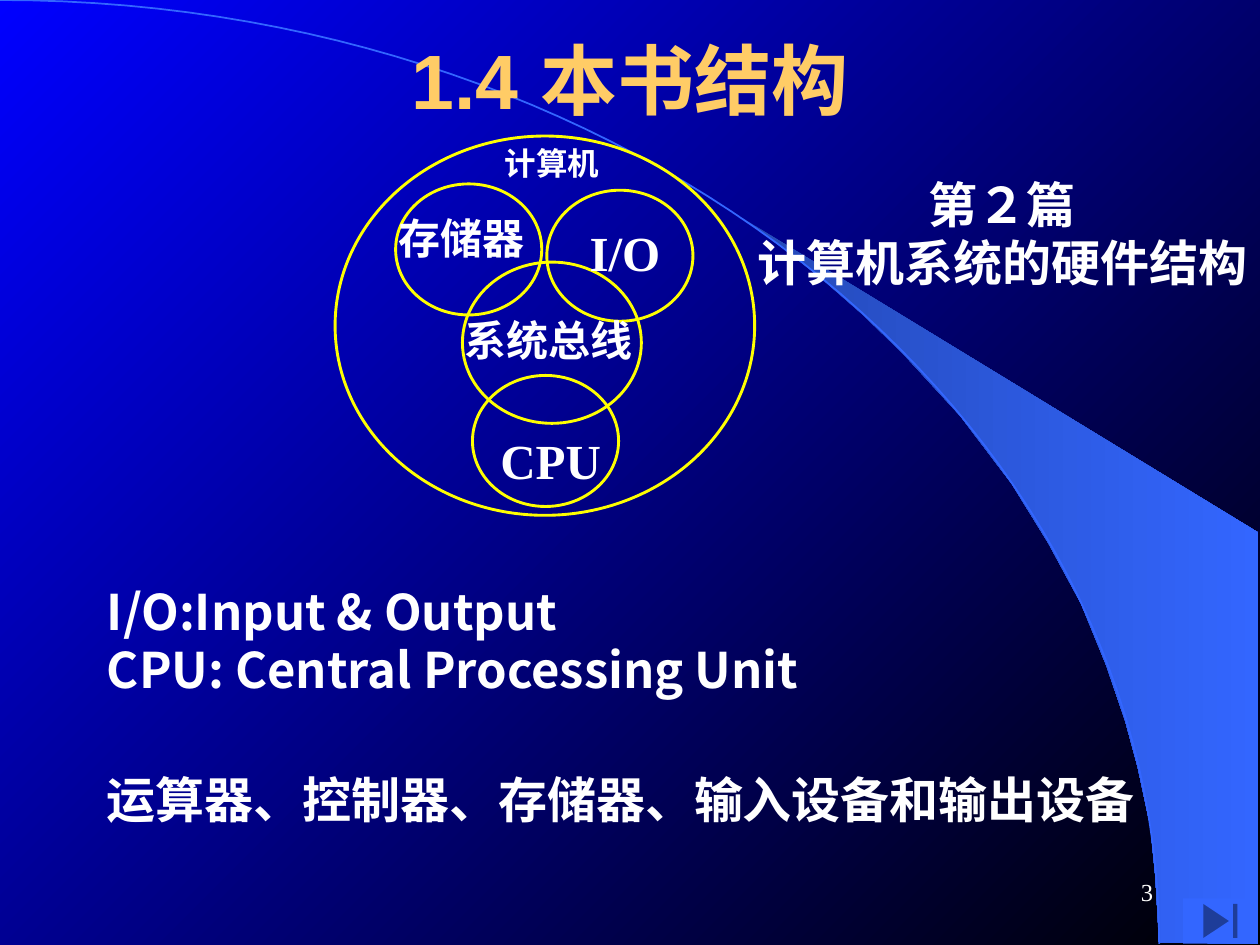
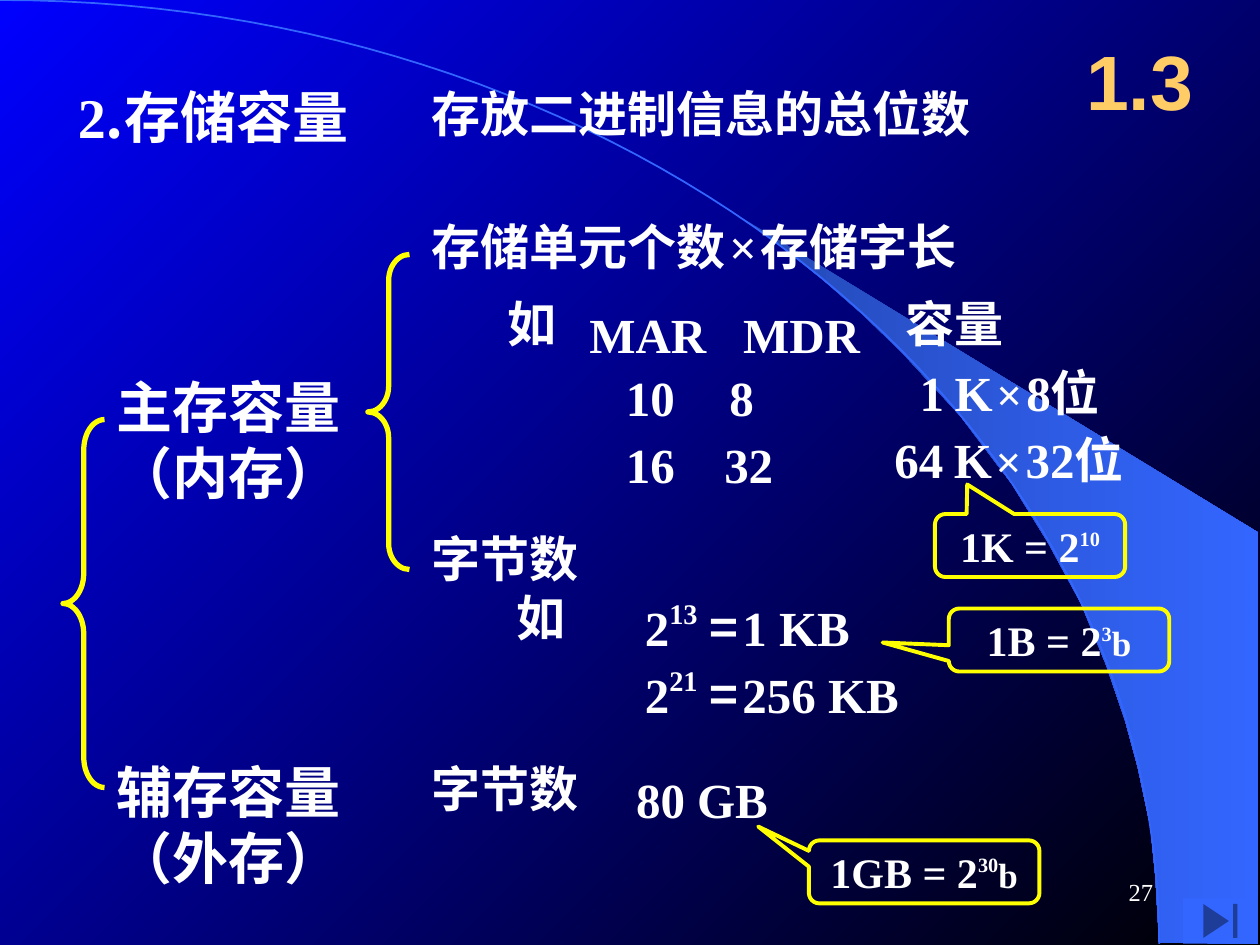
from dataclasses import dataclass
from pptx import Presentation
from pptx import util as u
from pptx.dml.color import RGBColor
from pptx.enum import shapes, text
from pptx.oxml import ns
from lxml import etree


@dataclass(frozen=True)
class Theme:
    """Colours, fonts and type sizes of the deck."""
    bright: str = "0000FF"
    dark: str = "000000"
    sweep: str = "3366FF"
    sweep_shade: str = "2449B6"
    outline: str = "FFFF00"
    body: str = "FFFFFF"
    title: str = "FFCC66"
    cjk: str = "Noto Sans CJK SC"
    latin: str = "Times New Roman"
    heading: str = "Arial"
    title_size: int = 44
    topic_size: int = 32
    body_size: int = 28
    label_size: int = 24
    exponent_size: int = 20
    small_size: int = 18
    footer_size: int = 14
    gap_size: int = 9


THEME = Theme()
CENTER, RIGHT = text.PP_ALIGN.CENTER, text.PP_ALIGN.RIGHT
INSETS = (0.1, 0.05, 0.1, 0.05)
NO_INSETS = (0, 0, 0, 0)
SWEEP_EDGE = [
    (9.2, 7.48), (9.99, 7.49), (9.99, 4.23), (5.89, 1.73), (6.24, 1.99), (6.53, 2.22),
    (6.85, 2.5), (7.16, 2.8), (7.62, 3.3), (8.03, 3.84), (8.32, 4.31), (8.58, 4.79),
    (8.78, 5.28), (8.93, 5.72), (9.03, 6.09), (9.13, 6.56), (9.17, 6.96)]


@dataclass(frozen=True)
class Span:
    """A stretch of text in one style."""
    words: str
    size: int = THEME.body_size
    font: str = THEME.cjk
    raised: bool = False
    bold: bool = True
    color: str = THEME.body


def latin(words, size=THEME.body_size, raised=False):
    """Return a span in the Latin face."""
    return Span(words, size, THEME.latin, raised)


def inches(*lengths):
    """Convert several lengths to EMU."""
    return [u.Inches(length) for length in lengths]


def paint_gradient(fill, colors, angle):
    """Give a fill a two-colour linear gradient."""
    fill.gradient()
    fill.gradient_angle = angle
    for stop, color in zip(fill.gradient_stops, colors):
        stop.color.rgb = RGBColor.from_string(color)


def add_span(paragraph, span):
    """Append one formatted run to a paragraph."""
    run = paragraph.add_run()
    run.text = span.words
    run.font.size = u.Pt(span.size)
    run.font.bold = span.bold
    run.font.color.rgb = RGBColor.from_string(span.color)
    run.font.name = span.font
    properties = run._r.get_or_add_rPr()
    etree.SubElement(properties, ns.qn("a:ea")).set("typeface", THEME.cjk)
    if span.raised:
        properties.set("baseline", "45000")


def fill_frame(frame, lines, align=None, insets=INSETS, anchor=text.MSO_ANCHOR.TOP, wrap=True):
    """Write lines of spans into a text frame."""
    frame.word_wrap = wrap
    frame.vertical_anchor = anchor
    frame.margin_left, frame.margin_top, frame.margin_right, frame.margin_bottom = inches(*insets)
    for number, spans in enumerate(lines):
        paragraph = frame.add_paragraph() if number else frame.paragraphs[0]
        paragraph.alignment = align
        if any(span.font == THEME.cjk for span in spans):
            paragraph.line_spacing = 0.9
        if number:
            paragraph.space_before = u.Pt(spans[0].size * 0.1)
        for span in spans:
            add_span(paragraph, span)


def add_text(slide, box, *lines, **layout):
    """Add a text box of one or more lines."""
    fill_frame(slide.shapes.add_textbox(*inches(*box)).text_frame, lines, **layout)


def add_outline(slide, kind, box, width, adjustments=()):
    """Add an unfilled preset shape with a yellow outline."""
    shape = slide.shapes.add_shape(kind, *inches(*box))
    shape.shadow.inherit = False
    shape.fill.background()
    shape.line.color.rgb = RGBColor.from_string(THEME.outline)
    shape.line.width = u.Pt(width)
    for index, value in enumerate(adjustments):
        shape.adjustments[index] = value
    return shape


def add_outlined_path(slide, points, close):
    """Add a freeform through points given in inches."""
    points = [inches(*point) for point in points]
    builder = slide.shapes.build_freeform(*points[0])
    builder.add_line_segments(points[1:], close=close)
    shape = builder.convert_to_shape()
    shape.shadow.inherit = False
    return shape


def add_backdrop(slide):
    """Add the gradient background, the sweep and its arc."""
    paint_gradient(slide.background.fill, (THEME.bright, THEME.dark), 315)
    sweep = add_outlined_path(slide, SWEEP_EDGE, True)
    paint_gradient(sweep.fill, (THEME.sweep_shade, THEME.sweep), 0)
    sweep.line.fill.background()
    steps = [step / 60 for step in range(61)]
    curve = [(3 * 5.08 * t * (1 - t) ** 2 + 3 * 9.2 * t ** 2 * (1 - t) + 9.2 * t ** 3,
              3 * 3.35 * t ** 2 * (1 - t) + 7.49 * t ** 3) for t in steps]
    arc = add_outlined_path(slide, curve, False)
    arc.fill.background()
    arc.line.color.rgb = RGBColor.from_string(THEME.sweep)
    arc.line.width = u.Pt(1)


def add_footer(slide, number):
    """Add the slide number and the end button."""
    button = slide.shapes.add_shape(shapes.MSO_SHAPE.ACTION_BUTTON_END, *inches(9.39, 7.13, 0.59, 0.36))
    button.shadow.inherit = False
    button.fill.solid()
    button.fill.fore_color.rgb = RGBColor.from_string(THEME.sweep)
    button.line.fill.background()
    add_text(slide, (7.17, 6.83, 2.08, 0.5),
             [Span(str(number), THEME.footer_size, THEME.latin, bold=False)],
             align=RIGHT, anchor=text.MSO_ANCHOR.MIDDLE)


def start_slide(presentation, title, title_box, number):
    """Add a slide with backdrop, title and footer."""
    slide = presentation.slides.add_slide(presentation.slide_layouts[6])
    add_backdrop(slide)
    add_text(slide, title_box, [Span(title, THEME.title_size, THEME.heading, color=THEME.title)],
             align=CENTER, anchor=text.MSO_ANCHOR.MIDDLE)
    add_footer(slide, number)
    return slide


def add_computer_diagram(slide, left, top):
    """Draw the computer's parts as overlapping circles."""
    circles = [(0, 0, 3.33, 3.01), (1.01, 1, 1.42, 1.28), (0.48, 0.38, 1.16, 1.04),
               (1.68, 0.43, 1.16, 1.04), (1.09, 1.9, 1.16, 1.04)]
    for x, y, width, height in circles:
        add_outline(slide, shapes.MSO_SHAPE.OVAL, (left + x, top + y, width, height), 1.63)
    labels = [
        (1.34, 0.1, 0.76, Span("计算机", THEME.small_size)),
        (0.5, 0.65, 1.01, Span("存储器", THEME.label_size)),
        (1.89, 0.69, 0.82, latin("I/O")),
        (1.02, 1.46, 1.35, Span("系统总线", THEME.label_size)),
        (1.31, 2.34, 0.8, latin("CPU"))]
    for x, y, width, label in labels:
        add_text(slide, (left + x, top + y, width, 0.4), [label],
                 align=CENTER, insets=NO_INSETS, wrap=False)


def build_structure_slide(presentation):
    """Build the slide on the structure of the book."""
    slide = start_slide(presentation, "1.4 本书结构", (0.75, 0, 8.5, 1.25), 3)
    add_text(slide, (5.91, 1.39, 4.09, 1.13), [Span("第２篇")], [Span("计算机系统的硬件结构")],
             align=CENTER, wrap=False)
    add_computer_diagram(slide, 2.66, 1.08)
    add_text(slide, (0.75, 4.62, 5.75, 1.14),
             [Span("I/O:Input & Output")], [Span("CPU: Central Processing Unit")], wrap=False)
    add_text(slide, (0.75, 6.11, 8.49, 0.57), [Span("运算器、控制器、存储器、输入设备和输出设备")], wrap=False)


def add_brace(slide, left, top, height):
    """Add a left brace with arms of fixed depth."""
    add_outline(slide, shapes.MSO_SHAPE.LEFT_BRACE, (left, top, 0.33, height), 3, (height / 4, 0.5))


def add_callout(slide, box, pointer, base, exponent, unit=""):
    """Add a callout that states a power of two."""
    callout = add_outline(slide, shapes.MSO_SHAPE.ROUNDED_RECTANGULAR_CALLOUT, box, 2.25, (*pointer, 0.167))
    spans = [latin(base, THEME.label_size), latin(exponent, THEME.exponent_size, True)]
    if unit:
        spans.append(latin(unit, THEME.exponent_size))
    fill_frame(callout.text_frame, [spans], align=CENTER, insets=NO_INSETS,
               anchor=text.MSO_ANCHOR.MIDDLE, wrap=False)


def add_register_table(slide, left, top):
    """Set out register widths and the capacities they give."""
    add_text(slide, (left, top, 0.7, 0.57), [Span("如")])
    for x, heading in ((0.65, "MAR"), (1.87, "MDR")):
        add_text(slide, (left + x, top + 0.04, 1.2, 0.57), [latin(heading)])
    add_text(slide, (left + 3.16, top, 1.2, 0.57), [Span("容量")])
    gap = latin(" ", THEME.gap_size)
    times = latin("×", 26)
    rows = [(0.5, "10", "8", 1.76, "1", 3.27), (1.03, "16", "32", 1.72, "64", 3.07)]
    for y, address, data, data_x, count, count_x in rows:
        for x, value in ((0.94, address), (data_x, data)):
            add_text(slide, (left + x, top + y + 0.04, 0.8, 0.57), [latin(value)])
        add_text(slide, (left + count_x, top + y, 2.33, 0.57),
                 [latin(count), latin(" ", THEME.label_size), latin("K"), gap, times, gap,
                  latin(data + "位")])


def add_byte_examples(slide, left, top):
    """List the byte counts with their powers of two."""
    add_text(slide, (left, top, 0.83, 0.57), [Span("如")])
    for row, (exponent, count) in enumerate((("13", "1"), ("21", "256"))):
        add_text(slide, (left + 1.02, top + 0.07 + 0.53 * row, 2.84, 0.57),
                 [latin("2"), latin(exponent, raised=True), latin(" "), Span("="),
                  Span(" ", THEME.gap_size), latin(f"{count} KB")])


def build_capacity_slide(presentation):
    """Build the slide on storage capacity."""
    slide = start_slide(presentation, "1.3", (8.42, 0.17, 1.25, 0.92), 27)
    size = THEME.topic_size
    add_text(slide, (0.52, 0.67, 3.48, 0.63), [latin("2", size), Span(".存储容量", size)])
    add_brace(slide, 0.5, 3.33, 2.92)
    add_brace(slide, 2.92, 2.02, 2.5)
    for top, kind, place in ((2.97, "主存容量", "（内存）"), (6.02, "辅存容量", "（外存）")):
        add_text(slide, (0.83, top, 2.67, 1.29), [Span(kind, size)], [Span(place, size)])
    gap = Span(" ", THEME.gap_size)
    definitions = [
        (0.67, [Span("存放二进制信息的总位数")]),
        (1.72, [Span("存储单元个数"), gap, latin("×"), gap, Span("存储字长")]),
        (4.2, [Span("字节数")]),
        (6.02, [Span("字节数")])]
    for top, spans in definitions:
        add_text(slide, (3.33, top, 5.58, 0.57), spans)
    add_register_table(slide, 3.93, 2.33)
    add_byte_examples(slide, 4, 4.67)
    add_text(slide, (4.95, 6.06, 1.8, 0.57), [latin("80 GB")])
    add_callout(slide, (7.42, 4.08, 1.51, 0.5), (-0.33, -0.97), "1K = 2", "10")
    add_callout(slide, (7.53, 4.83, 1.75, 0.5), (-0.8, 0.04), "1B = 2", "3", "b")
    add_callout(slide, (6.42, 6.67, 1.83, 0.5), (-0.72, -0.72), "1GB = 2", "30", "b")


def main():
    """Build and save the presentation."""
    presentation = Presentation()
    presentation.slide_width, presentation.slide_height = inches(10, 7.5)
    build_structure_slide(presentation)
    build_capacity_slide(presentation)
    presentation.save("out.pptx")


if __name__ == "__main__":
    main()
